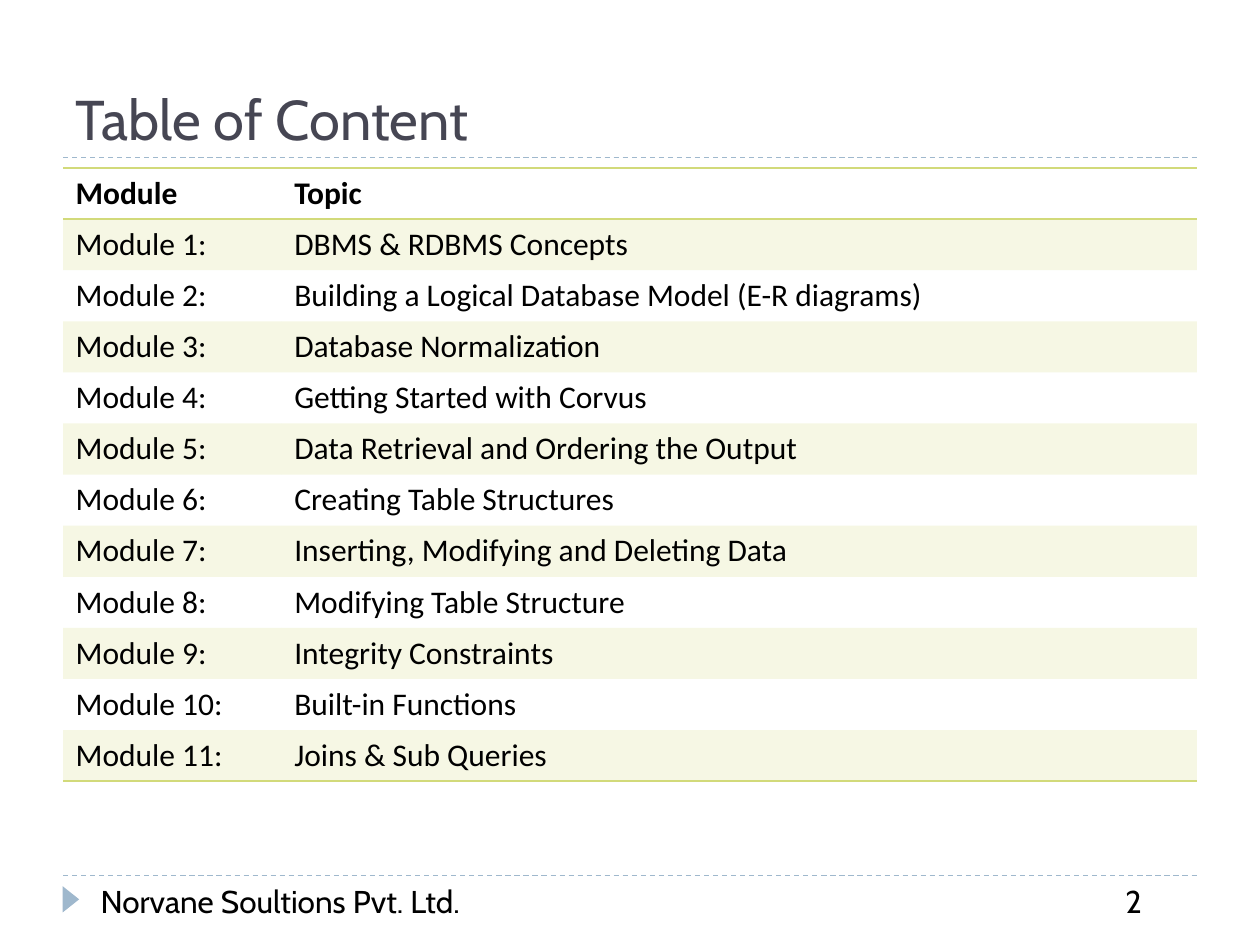
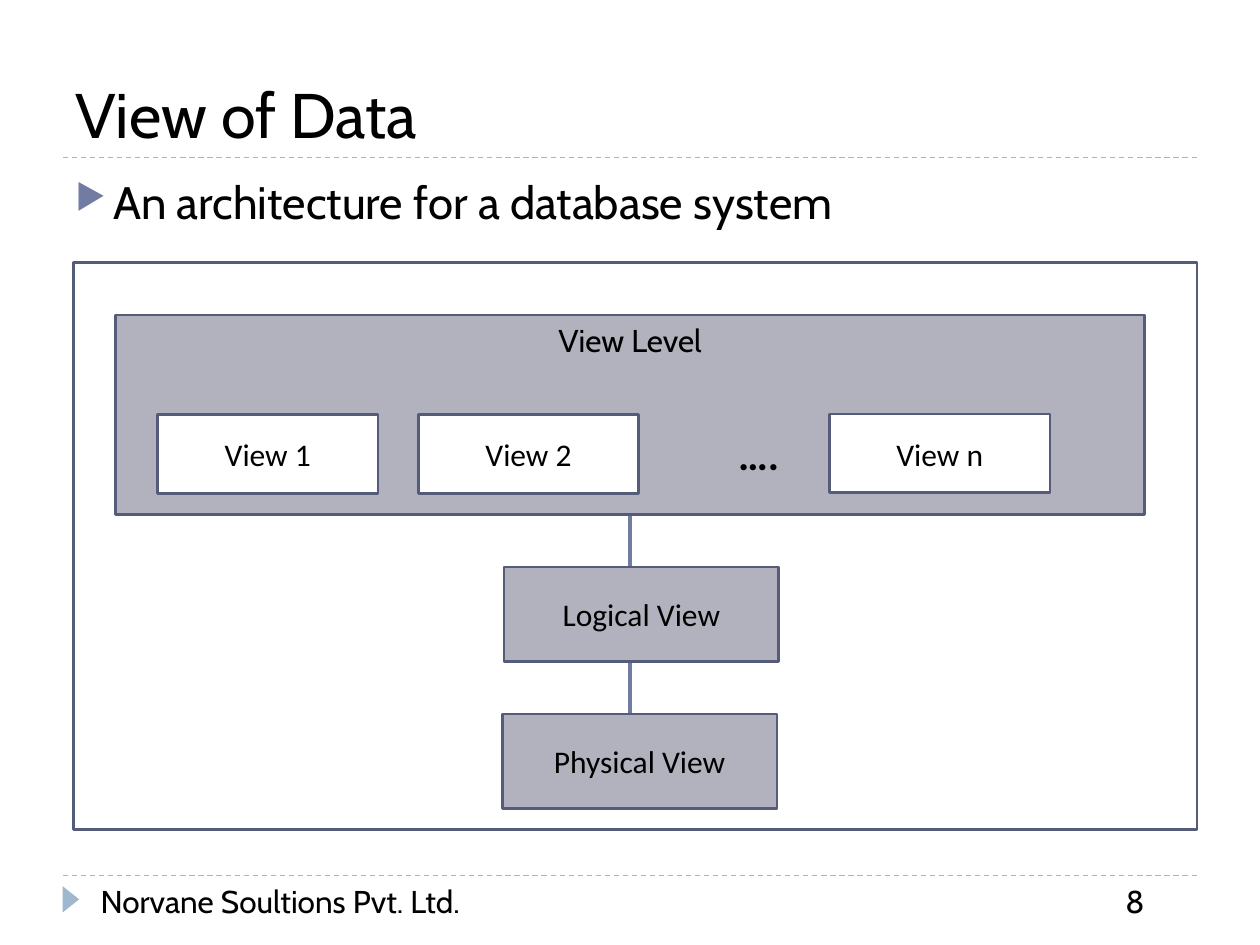
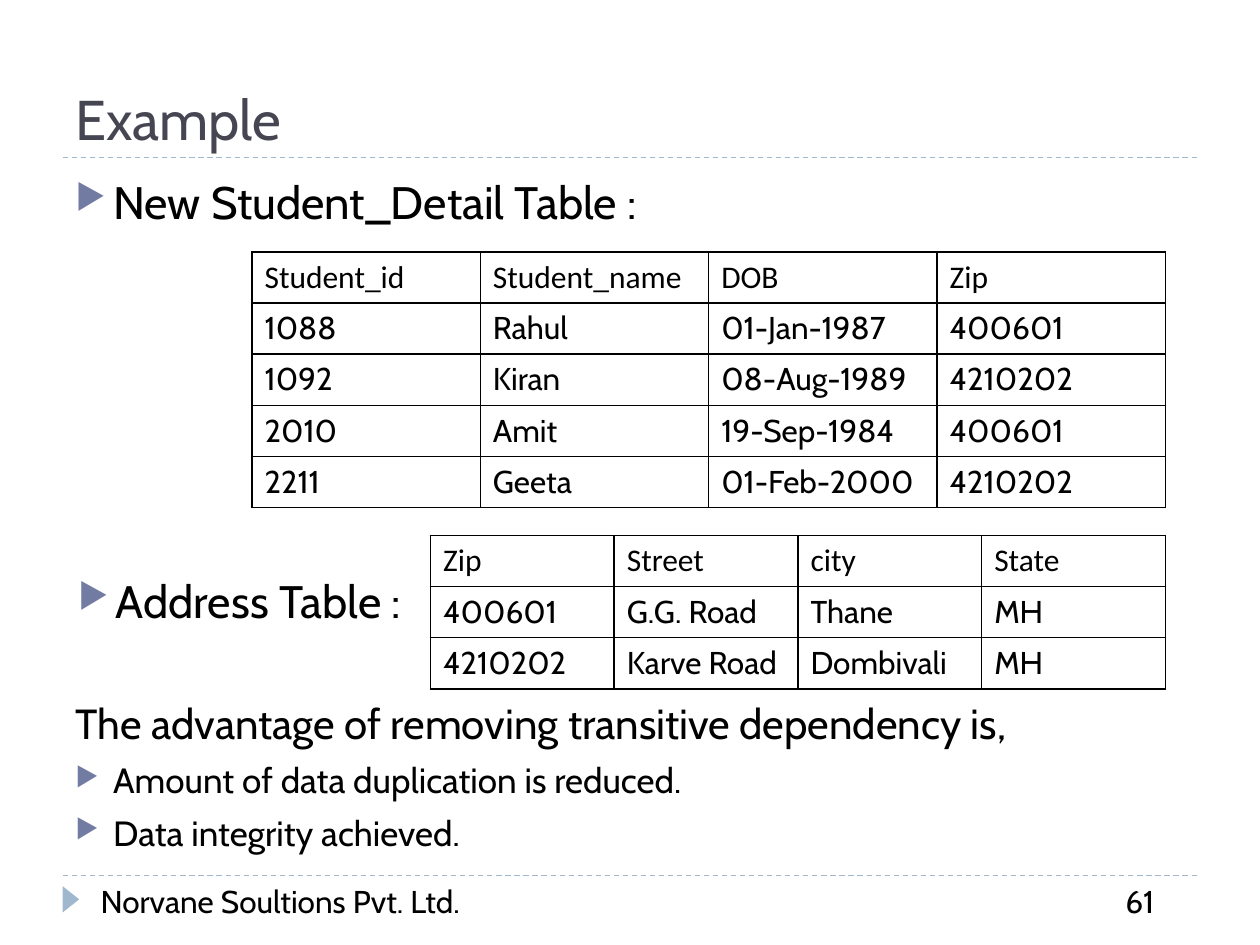
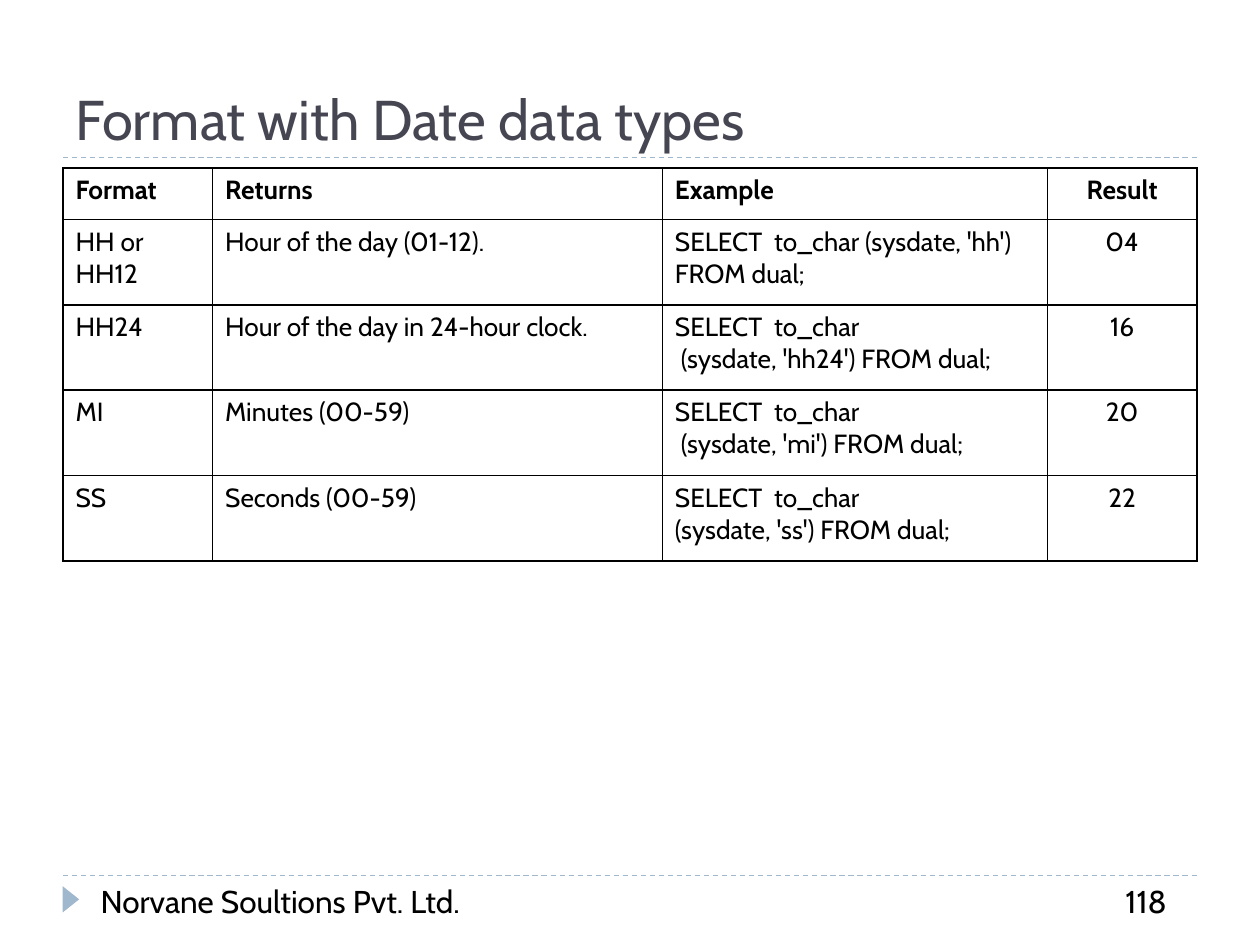
from lxml.etree import SubElement
from pptx import Presentation
from pptx.dml.color import RGBColor
from pptx.enum.dml import MSO_LINE
from pptx.enum.shapes import MSO_CONNECTOR, MSO_SHAPE
from pptx.enum.text import MSO_ANCHOR, PP_ALIGN
from pptx.oxml.ns import qn
from pptx.util import Pt

BLACK = RGBColor(0x00, 0x00, 0x00)
WHITE = RGBColor(0xFF, 0xFF, 0xFF)
SLATE = RGBColor(0x46, 0x46, 0x53)
SKY = RGBColor(0x9F, 0xB8, 0xCD)
INDIGO = RGBColor(0x72, 0x7C, 0xA3)
NAVY = RGBColor(0x54, 0x5C, 0x79)
GRAY = RGBColor(0xB2, 0xB2, 0xBE)
LIME = RGBColor(0xD2, 0xDA, 0x7A)

PLAIN_TABLE = "{2D5ABB26-0587-4C30-8999-92F81FD0307C}"
ALL_SIDES = ("lnL", "lnR", "lnT", "lnB")
ROW_HEIGHT = 29.2


def write(frame, text, font="Cabin", size=18, color=BLACK, bold=False, align=None, bullet=False):
    frame.word_wrap = True
    for line in text.split("\n"):
        first = not frame.text
        paragraph = frame.paragraphs[0] if first else frame.add_paragraph()
        if bullet:
            properties = paragraph._p.get_or_add_pPr()
            properties.set("marL", str(Pt(21.6)))
            properties.set("indent", str(-Pt(21.6)))
            tint = SubElement(properties, qn("a:buClr"))
            SubElement(tint, qn("a:srgbClr"), val=str(INDIGO))
            SubElement(properties, qn("a:buSzPct"), val="76000")
            SubElement(properties, qn("a:buChar"), char="▶")
            if not first:
                paragraph.space_before = Pt(6)
        if align is not None:
            paragraph.alignment = align
        run = paragraph.add_run()
        run.text = line
        run.font.name = font
        run.font.size = Pt(size)
        run.font.bold = bold
        run.font.color.rgb = color


def build_table(slide, left, top, widths, heights, rows, borders, head, body,
                line=BLACK, band=None, anchor=MSO_ANCHOR.TOP):
    table = slide.shapes.add_table(
        len(rows), len(widths), Pt(left), Pt(top), Pt(sum(widths)), Pt(sum(heights))).table
    table._tbl.tblPr.find(qn("a:tableStyleId")).text = PLAIN_TABLE
    table.horz_banding = False
    for column, width in zip(table.columns, widths):
        column.width = Pt(width)
    for r, (values, height, sides) in enumerate(zip(rows, heights, borders)):
        table.rows[r].height = Pt(height)
        for c, value in enumerate(values):
            cell = table.cell(r, c)
            cell.vertical_anchor = anchor
            write(cell.text_frame, value, **(body if r else head))
            properties = cell._tc.get_or_add_tcPr()
            for side in sides:
                edge = SubElement(properties, qn("a:" + side), w=str(Pt(1)))
                paint = SubElement(edge, qn("a:solidFill"))
                SubElement(paint, qn("a:srgbClr"), val=str(line))
            if band is not None and r % 2:
                cell.fill.solid()
                cell.fill.fore_color.rgb = band
                SubElement(properties.find(qn("a:solidFill"))[0], qn("a:alpha"), val="20000")
            else:
                cell.fill.background()
    return table


deck = Presentation()
deck.slide_width = Pt(720)
deck.slide_height = Pt(540)

pages = [
    ("Table of Content", "2", 32, SLATE),
    ("View of Data", "8", 36, BLACK),
    ("Example", "61", 32, SLATE),
    ("Format with Date data types", "118", 32, SLATE),
]
for heading, number, size, color in pages:
    slide = deck.slides.add_slide(deck.slide_layouts[6])
    for height in (500.4, 90):
        rule = slide.shapes.add_connector(
            MSO_CONNECTOR.STRAIGHT, Pt(36), Pt(height), Pt(684), Pt(height))
        rule.line.color.rgb = SKY
        rule.line.width = Pt(0.75)
        rule.line.dash_style = MSO_LINE.DASH
    marker = slide.shapes.add_shape(
        MSO_SHAPE.ISOSCELES_TRIANGLE, Pt(33), Pt(509.2), Pt(15), Pt(9.4))
    marker.rotation = 90
    marker.shadow.inherit = False
    marker.fill.solid()
    marker.fill.fore_color.rgb = SKY
    marker.line.fill.background()
    title = slide.shapes.add_textbox(Pt(36), Pt(12), Pt(648), Pt(78)).text_frame
    title.vertical_anchor = MSO_ANCHOR.BOTTOM
    write(title, heading, size=size, color=color)
    for text, left, width in (("Norvane Soultions Pvt. Ltd.", 50.4, 274), (number, 636, 48)):
        footer = slide.shapes.add_textbox(Pt(left), Pt(500.4), Pt(width), Pt(29))
        write(footer.text_frame, text)

contents, views, example, formats = deck.slides

topics = [
    "DBMS & RDBMS Concepts",
    "Building a Logical Database Model (E-R diagrams)",
    "Database Normalization",
    "Getting Started with Corvus",
    "Data Retrieval and Ordering the Output",
    "Creating Table Structures",
    "Inserting, Modifying and Deleting Data",
    "Modifying Table Structure",
    "Integrity Constraints",
    "Built-in Functions",
    "Joins & Sub Queries",
]
modules = [("Module", "Topic")]
modules += [(f"Module {n}:", topic) for n, topic in enumerate(topics, 1)]
build_table(contents, 36, 96, [125, 523], [ROW_HEIGHT] * len(modules), modules,
            [("lnT", "lnB")] + [()] * (len(topics) - 1) + [("lnB",)],
            head={"font": "Calibri", "bold": True}, body={"font": "Calibri"},
            line=LIME, band=LIME)

bullets = [
    (views, "An architecture for a database system", 36, 96, 648, 48),
    (example, "New Student_Detail Table :", 36, 96, 648, 42),
    (example, "Address Table :", 37.5, 324, 214.5, 42),
]
for slide, text, left, top, width, height in bullets:
    point = slide.shapes.add_textbox(Pt(left), Pt(top), Pt(width), Pt(height))
    write(point.text_frame, text, size=26, bullet=True)

link = views.shapes.add_connector(MSO_CONNECTOR.STRAIGHT, Pt(360), Pt(294), Pt(360), Pt(414))
link.line.color.rgb = INDIGO
link.line.width = Pt(2.75)

levels = [
    ("", 42, 150, 642, 324, None),
    ("View Level", 66, 180, 588, 114, GRAY),
    ("View 1", 90, 237, 126, 45, WHITE),
    ("View 2", 239, 237, 126, 45, WHITE),
    ("View n", 474, 236.6, 126, 45, WHITE),
    ("….", 408, 237, 51, 45, GRAY),
    ("Logical View", 288, 324, 157, 54, GRAY),
    ("Physical View", 287, 408, 157, 54, GRAY),
]
for label, left, top, width, height, fill in levels:
    level = views.shapes.add_shape(
        MSO_SHAPE.RECTANGLE, Pt(left), Pt(top), Pt(width), Pt(height))
    level.shadow.inherit = False
    if fill is None:
        level.fill.background()
    else:
        level.fill.solid()
        level.fill.fore_color.rgb = fill
    dots = label == "…."
    if dots:
        level.line.fill.background()
    else:
        level.line.color.rgb = NAVY
        level.line.width = Pt(1.5)
    if label:
        outer = label == "View Level"
        level.text_frame.vertical_anchor = MSO_ANCHOR.TOP if outer else MSO_ANCHOR.MIDDLE
        write(level.text_frame, label, font="Cabin" if outer else "Calibri",
              size=24 if dots else 18, bold=dots, align=PP_ALIGN.CENTER)

students = [
    ("Student_id", "Student_name", "DOB", "Zip"),
    ("1088", "Rahul", "01-Jan-1987", "400601"),
    ("1092", "Kiran", "08-Aug-1989", "4210202"),
    ("2010", "Amit", "19-Sep-1984", "400601"),
    ("2211", "Geeta", "01-Feb-2000", "4210202"),
]
addresses = [
    ("Zip", "Street", "city", "State"),
    ("400601", "G.G. Road", "Thane", "MH"),
    ("4210202", "Karve Road", "Dombivali", "MH"),
]
for rows, left, top, width in ((students, 144, 144, 130.5), (addresses, 246, 306, 105)):
    build_table(example, left, top, [width] * 4, [ROW_HEIGHT] * len(rows), rows,
                [ALL_SIDES] * len(rows), head={"font": "Calibri"}, body={},
                anchor=MSO_ANCHOR.MIDDLE)

advantages = example.shapes.add_textbox(Pt(36), Pt(395.3), Pt(654), Pt(97)).text_frame
write(advantages, "The advantage of removing transitive dependency is,", size=24)
write(advantages, "Amount of data duplication is reduced.\nData integrity achieved.",
      size=20, bullet=True)

date_formats = [
    ("Format", "Returns", "Example", "Result"),
    ("HH or HH12", "Hour of the day (01-12).",
     "SELECT  to_char (sysdate, 'hh') FROM dual;", "04"),
    ("HH24", "Hour of the day in 24-hour clock.",
     "SELECT  to_char\n (sysdate, 'hh24') FROM dual;", "16"),
    ("MI", "Minutes (00-59)", "SELECT  to_char\n (sysdate, 'mi') FROM dual;", "20"),
    ("SS", "Seconds (00-59)", "SELECT  to_char\n(sysdate, 'ss') FROM dual;", "22"),
]
format_table = build_table(
    formats, 36, 96, [85.5, 257, 220, 85.5], [29.4] + [48.8] * 4, date_formats,
    [ALL_SIDES] * len(date_formats),
    head={"size": 15, "bold": True, "align": PP_ALIGN.JUSTIFY}, body={"size": 15})
for r in range(len(date_formats)):
    format_table.cell(r, 3).text_frame.paragraphs[0].alignment = PP_ALIGN.CENTER

for slide in deck.slides:
    for connector in slide.element.iter(qn("p:cxnSp")):
        SubElement(connector.spPr, qn("a:effectLst"))

deck.save("out.pptx")
